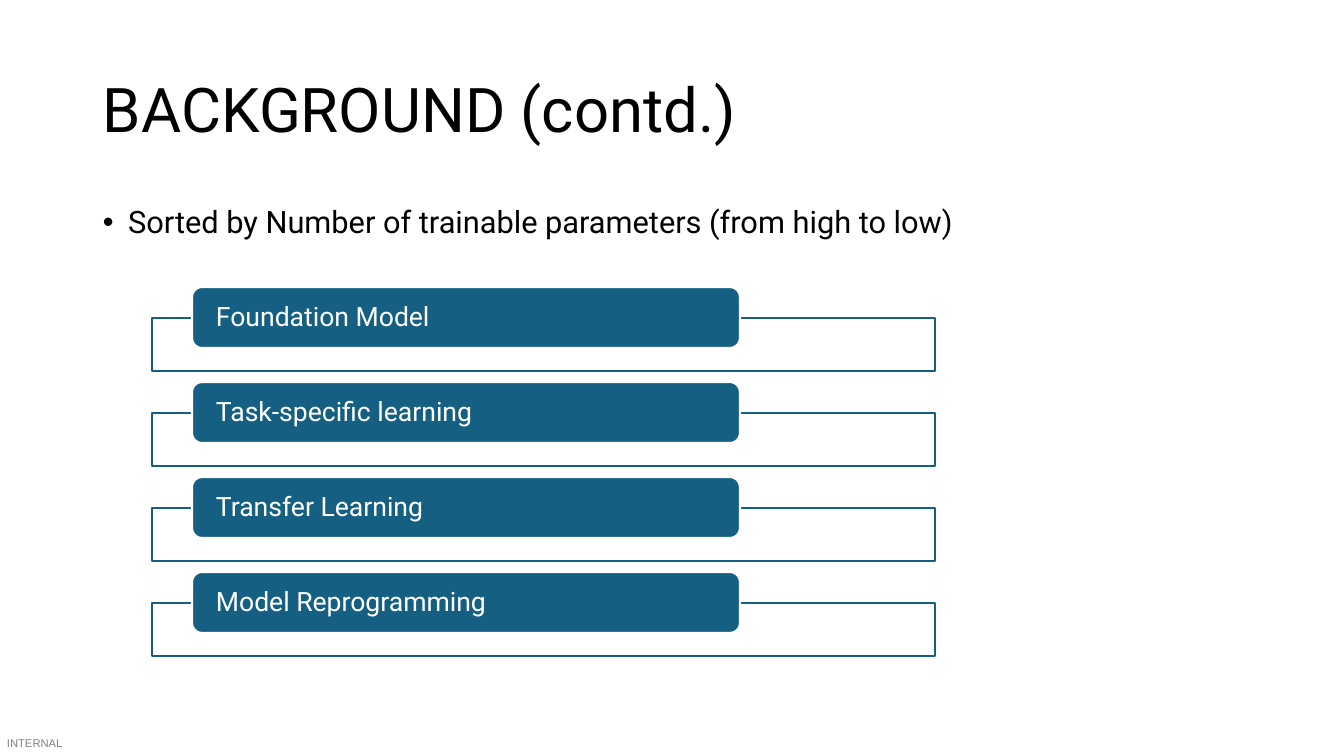
from lxml import etree
from pptx import Presentation, util as u
from pptx.dml.color import RGBColor
from pptx.enum import shapes, text
from pptx.oxml import ns

BLACK = RGBColor(0, 0, 0)
WHITE = RGBColor(255, 255, 255)
TEAL = RGBColor(0x15, 0x60, 0x82)
SCALE = 12192000 / 1344


def px(*lengths):
    return [u.Emu(round(length * SCALE)) for length in lengths]


def write(box, words, size, color, frame_format, name="Roboto", spacing=0.9):
    frame = box.text_frame
    for key, value in frame_format.items():
        setattr(frame, key, value)
    para = frame.paragraphs[0]
    para.alignment = text.PP_ALIGN.LEFT
    para.line_spacing = spacing
    span = para.add_run()
    span.text = words
    for key, value in {"name": name, "size": u.Pt(size)}.items():
        setattr(span.font, key, value)
    span.font.color.rgb = color
    return para


deck = Presentation()
deck.slide_width, deck.slide_height = px(1344, 756)
page = deck.slides.add_slide(deck.slide_layouts[6])

margin_x, margin_y = px(10, 5)
padded = {
    "word_wrap": True,
    "margin_left": margin_x,
    "margin_right": margin_x,
    "margin_top": margin_y,
    "margin_bottom": margin_y,
}
middle = {"vertical_anchor": text.MSO_ANCHOR.MIDDLE}
flush = dict.fromkeys(["margin_left", "margin_right", "margin_top", "margin_bottom"], 0)

label = page.shapes.add_textbox(*px(7, 736, 58, 13))
label_format = flush | {"word_wrap": False, "auto_size": text.MSO_AUTO_SIZE.SHAPE_TO_FIT_TEXT}
label_para = write(label, "INTERNAL", 8, BLACK, label_format, "Arial", 1.0)
translucent = [(label_para.runs[0].font.fill, 50)]

title = page.shapes.add_textbox(*px(93, 40, 1159, 146))
write(title, "BACKGROUND (contd.)", 44, BLACK, padded | middle)

body = page.shapes.add_textbox(*px(93, 202, 1159, 480))
bullet_para = write(
    body, "Sorted by Number of trainable parameters (from high to low)", 22, BLACK, padded
)
bullet_para.space_before = u.Pt(10)
properties = bullet_para._p.get_or_add_pPr()
properties.set("marL", "228600")
properties.set("indent", "-228600")
etree.SubElement(properties, ns.qn("a:buFont"), typeface="Arial")
etree.SubElement(properties, ns.qn("a:buChar"), char="•")

methods = ["Foundation Model", "Task-specific learning", "Transfer Learning", "Model Reprogramming"]
inset = px(21)[0]
bar_format = flush | middle | {"word_wrap": True, "margin_left": inset, "margin_right": inset}
for row, method in enumerate(methods):
    top = 287 + 95 * row
    frame_box = page.shapes.add_shape(
        shapes.MSO_SHAPE.RECTANGLE, *px(152, top + 31, 783, 53)
    )
    bar = page.shapes.add_shape(
        shapes.MSO_SHAPE.ROUNDED_RECTANGLE, *px(192, top, 548, 61)
    )
    for shape, fill, line in [(frame_box, WHITE, TEAL), (bar, TEAL, WHITE)]:
        shape.shadow.inherit = False
        shape.fill.solid()
        shape.fill.fore_color.rgb = fill
        shape.line.color.rgb = line
        shape.line.width = u.Pt(1.5)
    translucent.append((frame_box.fill, 90))
    write(bar, method, 19, WHITE, bar_format)

for fill, percent in translucent:
    color = fill._xPr.find(f".//{ns.qn('a:srgbClr')}")
    etree.SubElement(color, ns.qn("a:alpha"), val=str(percent * 1000))

deck.save("out.pptx")
